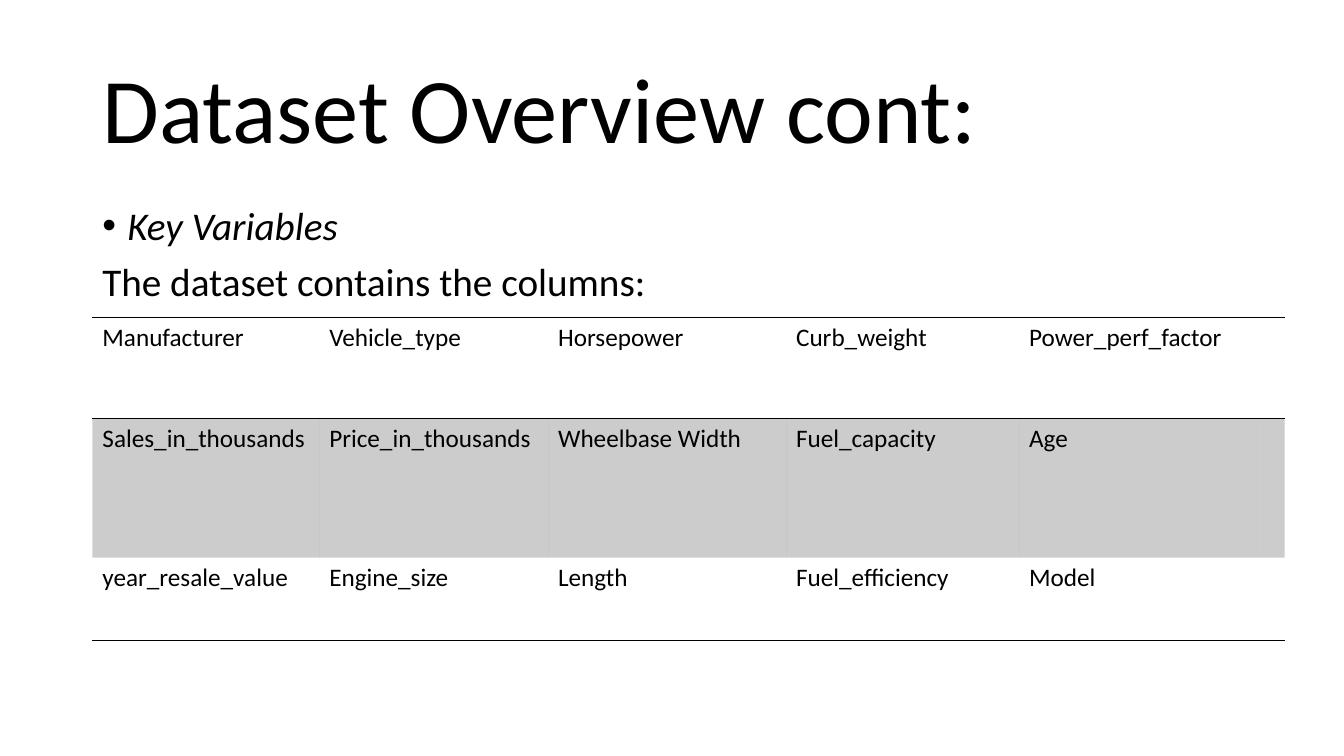
from dataclasses import dataclass

from lxml import etree
from pptx import Presentation
from pptx.dml.color import RGBColor
from pptx.enum.text import MSO_ANCHOR
from pptx.oxml.ns import qn
from pptx.util import Pt

TOP, MIDDLE = MSO_ANCHOR.TOP, MSO_ANCHOR.MIDDLE


@dataclass(frozen=True)
class Theme:
    font: str = "Calibri"
    ink: str = "000000"
    title_size: int = 66
    body_size: int = 28
    cell_size: int = 18
    rule_width: int = 1
    band_opacity: int = 20


THEME = Theme()
COLUMN_WIDTHS = (162, 163.5, 170, 166.5, 172.5, 16.5)
ROW_HEIGHTS = (72, 99.5, 59)
BAND_ROW = 1
RULES = ({"T", "B"}, {"T"}, {"B"})  # ruled edges of each row
VARIABLES = (
    ("Manufacturer", "Vehicle_type", "Horsepower", "Curb_weight",
     "Power_perf_factor", ""),
    ("Sales_in_thousands", "Price_in_thousands", "Wheelbase Width",
     "Fuel_capacity", "Age", ""),
    ("year_resale_value", "Engine_size", "Length", "Fuel_efficiency",
     "Model", ""),
)


def write(paragraph, text, size, italic=False, spacing=None, before=0,
          bullet=None, indent=18):
    paragraph.line_spacing = spacing
    paragraph.space_before = Pt(before)
    if bullet:
        properties = paragraph._p.get_or_add_pPr()
        properties.set("marL", str(Pt(indent)))
        properties.set("indent", str(-Pt(indent)))
        etree.SubElement(properties, qn("a:buFont"), typeface="Arial")
        etree.SubElement(properties, qn("a:buChar"), char=bullet)
    font = paragraph.font
    if text:
        run = paragraph.add_run()
        run.text = text
        font = run.font
    font.name = THEME.font
    font.size = Pt(size)
    font.italic = italic
    font.color.rgb = RGBColor.from_string(THEME.ink)


def add_text_frame(slide, box, anchor):
    frame = slide.shapes.add_textbox(*map(Pt, box)).text_frame
    frame.word_wrap = True
    frame.vertical_anchor = anchor
    return frame


def add_title(slide, box):
    frame = add_text_frame(slide, box, MIDDLE)
    write(frame.paragraphs[0], "Dataset Overview cont:", THEME.title_size,
          spacing=0.9)


def add_introduction(slide, box):
    frame = add_text_frame(slide, box, TOP)
    write(frame.paragraphs[0], "Key Variables", THEME.body_size, italic=True,
          spacing=0.9, before=10, bullet="•")
    write(frame.add_paragraph(), "The dataset contains the columns:",
          THEME.body_size, spacing=0.9, before=10)


def set_borders(cell, ruled_edges):
    properties = cell._tc.get_or_add_tcPr()
    for edge in "LRTB":
        line = etree.SubElement(properties, qn(f"a:ln{edge}"),
                                w=str(Pt(THEME.rule_width)))
        if edge in ruled_edges:
            fill = etree.SubElement(line, qn("a:solidFill"))
            etree.SubElement(fill, qn("a:srgbClr"), val=THEME.ink)
        else:
            etree.SubElement(line, qn("a:noFill"))


def set_band(cell):
    cell.fill.solid()
    cell.fill.fore_color.rgb = RGBColor.from_string(THEME.ink)
    color = cell._tc.tcPr.find(qn("a:solidFill")).find(qn("a:srgbClr"))
    etree.SubElement(color, qn("a:alpha"), val=str(THEME.band_opacity * 1000))


def add_variable_table(slide, left, top):
    table = slide.shapes.add_table(
        len(ROW_HEIGHTS), len(COLUMN_WIDTHS), Pt(left), Pt(top),
        Pt(sum(COLUMN_WIDTHS)), Pt(sum(ROW_HEIGHTS))).table
    table.first_row = table.horz_banding = False
    for column, width in zip(table.columns, COLUMN_WIDTHS):
        column.width = Pt(width)
    for row, height in zip(table.rows, ROW_HEIGHTS):
        row.height = Pt(height)

    for row_index, names in enumerate(VARIABLES):
        for column_index, name in enumerate(names):
            cell = table.cell(row_index, column_index)
            write(cell.text_frame.paragraphs[0], name, THEME.cell_size)
            set_borders(cell, RULES[row_index])
            if row_index == BAND_ROW:
                set_band(cell)
            else:
                cell.fill.background()


def main():
    deck = Presentation()
    deck.slide_width, deck.slide_height = Pt(960), Pt(540)
    slide = deck.slides.add_slide(deck.slide_layouts[6])
    left, width = 66, 828
    add_title(slide, (left, 28.75, width, 104.4))
    add_introduction(slide, (left, 143.75, width, 342.6))
    add_variable_table(slide, left, 226.8)
    deck.save("out.pptx")


if __name__ == "__main__":
    main()
